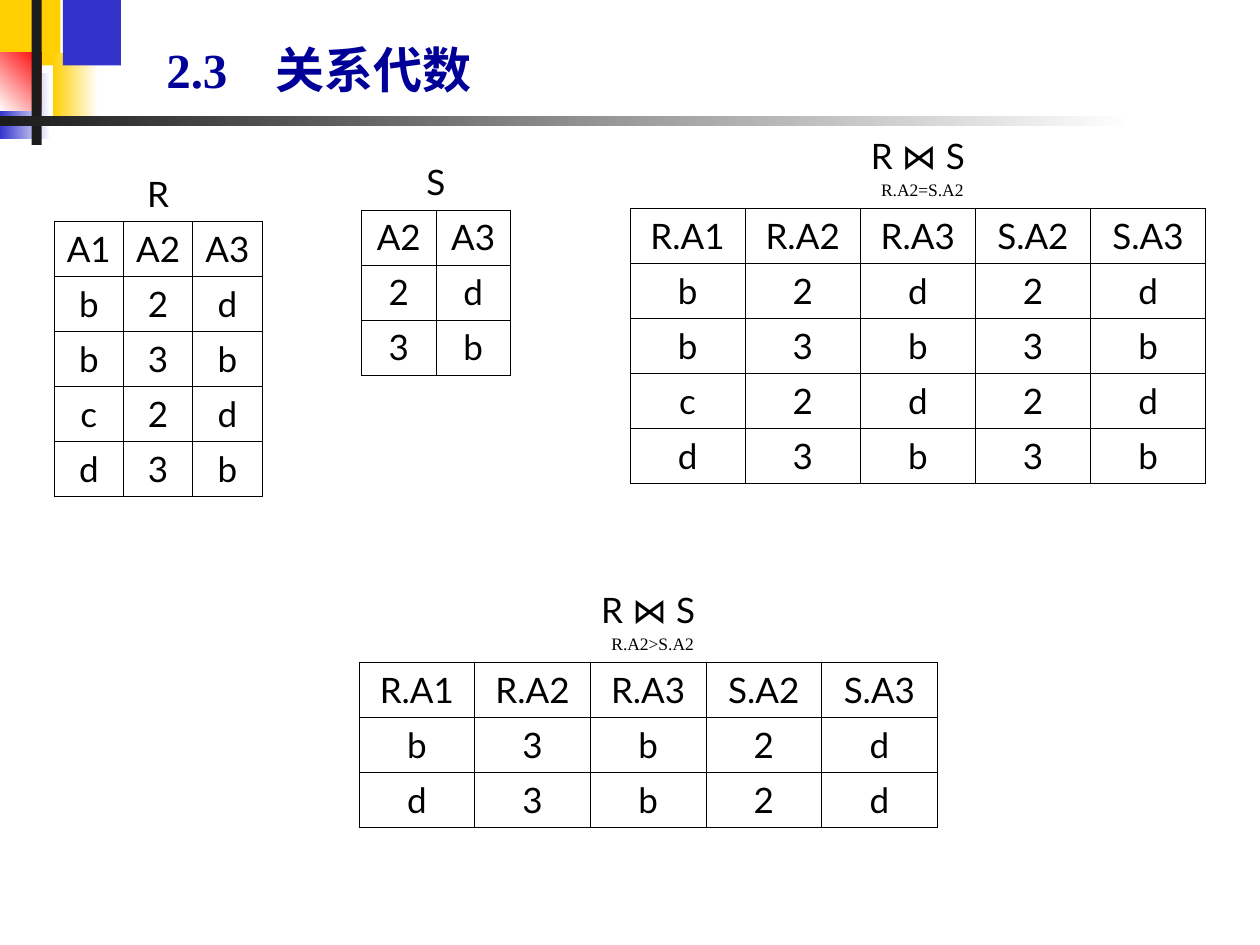
from pptx import Presentation
from pptx.dml.color import RGBColor
from pptx.enum.shapes import MSO_SHAPE as Shape
from pptx.enum.text import MSO_ANCHOR as Anchor, MSO_AUTO_SIZE as AutoSize, PP_ALIGN as Align
from pptx.oxml.ns import qn
from pptx.util import Inches, Pt
from lxml.etree import SubElement

COLORS = {"yellow": "FFCF01", "blue": "3333CC", "red": "FF0000", "dark": "1C1C1C",
          "white": "FFFFFF", "title": "000099", "text": "000000"}
PLAIN_TABLE = "{2D5ABB26-0587-4C30-8999-92F81FD0307C}"
GRID_COLS, GRID_ROWS = 100, 75
ROW_H, JOIN_HEAD_H = 4.37, 6.35


class SlideBuilder:
    body_font, serif_font = "Lato", "Times New Roman"

    def __init__(self, prs):
        self.col = prs.slide_width / GRID_COLS
        self.row = prs.slide_height / GRID_ROWS
        self.s = prs.slides.add_slide(prs.slide_layouts[5])

    def box(self, x, y, w, h):
        return [int(v) for v in (x * self.col, y * self.row, w * self.col, h * self.row)]

    def color(self, name):
        return RGBColor.from_string(COLORS[name])

    def run(self, p, text, size, font, color="text", bold=False):
        r = p.add_run()
        r.text = text
        r.font.size, r.font.name, r.font.bold = Pt(size), font, bold
        r.font.color.rgb = self.color(color)

    def title(self, number, text, x, y, w, h, tab):
        sp = self.s.shapes.title
        sp.left, sp.top, sp.width, sp.height = self.box(x, y, w, h)
        tf = sp.text_frame
        tf.auto_size, tf.word_wrap, tf.vertical_anchor = AutoSize.NONE, True, Anchor.BOTTOM
        p = tf.paragraphs[0]
        p.alignment = Align.LEFT
        tabs = SubElement(p._p.get_or_add_pPr(), qn("a:tabLst"))
        SubElement(tabs, qn("a:tab"), pos=str(int(tab * self.col)), algn="l")
        self.run(p, f"{number}\t{text}", 28, self.serif_font, "title", True)

    def block(self, x, y, w, h, start, end=None, angle=0):
        sp = self.s.shapes.add_shape(Shape.RECTANGLE, *self.box(x, y, w, h))
        sp.shadow.inherit = False
        sp.line.fill.background()
        if end is None:
            sp.fill.solid()
            sp.fill.fore_color.rgb = self.color(start)
            return
        sp.fill.gradient()
        sp.fill.gradient_angle = angle
        for stop, name, position in zip(sp.fill.gradient_stops, (start, end), (0, 1)):
            stop.color.rgb = self.color(name)
            stop.position = position

    def cell_format(self, cell, sides):
        tcPr = cell._tc.get_or_add_tcPr()
        for side in "LRTB":
            ln = SubElement(tcPr, qn(f"a:ln{side}"), w=str(Pt(0.45)))
            if side in sides:
                fill = SubElement(ln, qn("a:solidFill"))
                SubElement(fill, qn("a:srgbClr"), val=COLORS["text"])
            else:
                SubElement(ln, qn("a:noFill"))
        cell.fill.background()

    def cell_text(self, cell, text, condition=None):
        tf = cell.text_frame
        p = tf.paragraphs[0]
        p.alignment = Align.CENTER
        self.run(p, text, 20, self.body_font)
        if condition:
            p = tf.add_paragraph()
            p.alignment, p.space_before = Align.CENTER, Pt(2.5)
            p._p.get_or_add_pPr().set("marL", str(Inches(0.07)))
            self.run(p, condition, 10, self.serif_font)

    def relation(self, x, y, w, name, rows, condition=None):
        n_cols = len(rows[0])
        head_h = JOIN_HEAD_H if condition else ROW_H
        heights = [head_h] + [ROW_H] * len(rows)
        frame = self.s.shapes.add_table(len(heights), n_cols, *self.box(x, y, w, sum(heights)))
        table = frame.table
        table.first_row = table.horz_banding = False
        table._tbl.tblPr.find(qn("a:tableStyleId")).text = PLAIN_TABLE
        for column in table.columns:
            column.width = int(w / n_cols * self.col)
        for row, height in zip(table.rows, heights):
            row.height = int(height * self.row)
        for j in range(n_cols):
            self.cell_format(table.cell(0, j), "B")
        table.cell(0, 0).merge(table.cell(0, n_cols - 1))
        self.cell_text(table.cell(0, 0), name, condition)
        for i, values in enumerate(rows, 1):
            for j, value in enumerate(values):
                self.cell_format(table.cell(i, j), "LRTB")
                self.cell_text(table.cell(i, j), value)


def main():
    prs = Presentation()
    prs.slide_width, prs.slide_height = Inches(10), Inches(7.5)
    b = SlideBuilder(prs)

    b.block(0, 0, 4.8, 5.2, "yellow")
    b.block(4.2, 4.2, 3.6, 5.2, "yellow", "white")
    b.block(5, 0, 4.6, 5.2, "blue")
    b.block(0, 5.8, 4, 5.2, "blue", "white")
    b.block(0, 4.2, 3.3, 4.6, "white", "red", 45)
    b.block(2.5, 0, 0.8, 11.5, "dark")
    b.block(0, 9.2, 90, 0.8, "dark", "white")
    b.title("2.3", "关系代数", 12.2, 0, 47.5, 8.3, tab=8.7)

    join_head = ["R.A1", "R.A2", "R.A3", "S.A2", "S.A3"]
    b.relation(4.3, 13.2, 16.5, "R", [["A1", "A2", "A3"], "b2d", "b3b", "c2d", "d3b"])
    b.relation(28.7, 12.3, 11.8, "S", [["A2", "A3"], "2d", "3b"])
    b.relation(50, 10.2, 45.7, "R ⋈ S",
               [join_head, "b2d2d", "b3b3b", "c2d2d", "d3b3b"], "R.A2=S.A2")
    b.relation(28.5, 46.2, 45.9, "R ⋈ S", [join_head, "b3b2d", "d3b2d"], "R.A2>S.A2")

    prs.save("out.pptx")


if __name__ == "__main__":
    main()
